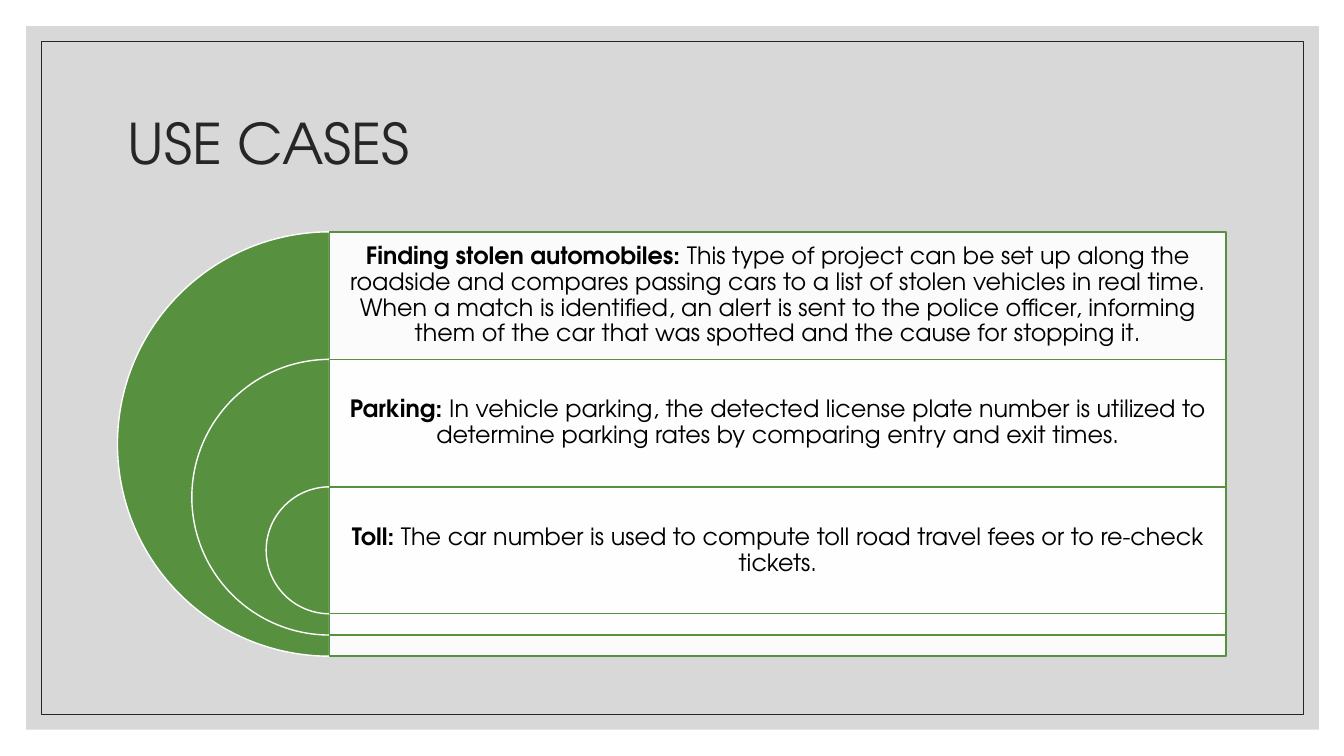
import dataclasses

import pptx
import pptx.dml.color
import pptx.enum.shapes
import pptx.enum.text
import pptx.oxml
import pptx.oxml.ns
import pptx.shapes.autoshape
import pptx.slide
import pptx.text.text
import pptx.util

Inches = pptx.util.Inches
Pt = pptx.util.Pt
RGBColor = pptx.dml.color.RGBColor
Preset = pptx.enum.shapes.MSO_SHAPE
Align = pptx.enum.text.PP_ALIGN

WHITE = RGBColor(0xFF, 0xFF, 0xFF)
BLACK = RGBColor(0x00, 0x00, 0x00)
SILVER = RGBColor(0xBF, 0xBF, 0xBF)
CHARCOAL = RGBColor(0x26, 0x26, 0x26)
GREEN = RGBColor(0x57, 0x90, 0x3F)

FONT = "TeX Gyre Adventor"
AXIS = 3.27
PANEL_WIDTH = 8.89
FIRST_TOP = 2.3
ROW_HEIGHT = 1.265
OUTER_DIAMETER = 4.21
DIAMETER_STEP = 1.475


@dataclasses.dataclass(frozen=True)
class Region:
    left: float
    top: float
    width: float
    height: float

    def lengths(self) -> list[int]:
        return [Inches(value) for value in dataclasses.astuple(self)]


@dataclasses.dataclass(frozen=True)
class Paint:
    fill: RGBColor | None = None
    opacity: int = 100
    line: RGBColor | None = None
    line_width: float = 1


@dataclasses.dataclass(frozen=True)
class Span:
    text: str
    size: float
    color: RGBColor
    bold: bool = False


@dataclasses.dataclass(frozen=True)
class UseCase:
    heading: str
    detail: str


BACKDROP = Paint(fill=SILVER, opacity=60)
FRAME = Paint(line=CHARCOAL, line_width=0.5)
HALF_DISC = Paint(fill=GREEN, line=WHITE)
PANEL = Paint(fill=WHITE, opacity=90, line=GREEN)

USE_CASES = [
    UseCase(
        "Finding stolen automobiles: ",
        "This type of project can be set up along the roadside and compares "
        "passing cars to a list of stolen vehicles in real time. When a match "
        "is identified, an alert is sent to the police officer, informing them "
        "of the car that was spotted and the cause for stopping it.",
    ),
    UseCase(
        "Parking: ",
        "In vehicle parking, the detected license plate number is utilized to "
        "determine parking rates by comparing entry and exit times.",
    ),
    UseCase(
        "Toll:",
        " The car number is used to compute toll road travel fees or to "
        "re-check tickets.",
    ),
]


def set_formats(target: object, formats: dict[str, object]) -> None:
    for name, value in formats.items():
        setattr(target, name, value)


def set_opacity(shape: pptx.shapes.autoshape.Shape, percent: int) -> None:
    color = shape.fill._xPr.find(".//" + pptx.oxml.ns.qn("a:srgbClr"))
    alpha = pptx.oxml.parse_xml(
        f'<a:alpha {pptx.oxml.ns.nsdecls("a")} val="{percent * 1000}"/>'
    )
    color.append(alpha)


def add_painted_shape(
    page: pptx.slide.Slide, preset: Preset, region: Region, paint: Paint
) -> pptx.shapes.autoshape.Shape:
    shape = page.shapes.add_shape(preset, *region.lengths())
    shape.shadow.inherit = False
    if paint.fill is None:
        shape.fill.background()
    else:
        shape.fill.solid()
        shape.fill.fore_color.rgb = paint.fill
        if paint.opacity < 100:
            set_opacity(shape, paint.opacity)
    if paint.line is None:
        shape.line.fill.background()
    else:
        shape.line.color.rgb = paint.line
        shape.line.width = Pt(paint.line_width)
    return shape


def add_text(
    page: pptx.slide.Slide,
    region: Region,
    spans: list[Span],
    align: Align,
    inset: tuple[float, float],
    space_after: float = 0,
) -> None:
    """Add one middle-anchored paragraph; inset is horizontal, then vertical."""
    frame = page.shapes.add_textbox(*region.lengths()).text_frame
    across, down = (Inches(value) for value in inset)
    set_formats(frame, {
        "word_wrap": True,
        "vertical_anchor": pptx.enum.text.MSO_ANCHOR.MIDDLE,
        "margin_left": across,
        "margin_right": across,
        "margin_top": down,
        "margin_bottom": down,
    })
    para = frame.paragraphs[0]
    set_formats(para, {
        "alignment": align,
        "line_spacing": 0.9,
        "space_after": Pt(space_after),
    })
    for span in spans:
        run = para.add_run()
        run.text = span.text
        set_formats(run.font, {
            "name": FONT, "size": Pt(span.size), "bold": span.bold,
        })
        run.font.color.rgb = span.color


def add_use_case(page: pptx.slide.Slide, index: int, case: UseCase) -> None:
    top = FIRST_TOP + index * ROW_HEIGHT
    diameter = OUTER_DIAMETER - index * DIAMETER_STEP
    disc = Region(AXIS - diameter / 2, top, diameter, diameter)
    half = add_painted_shape(page, Preset.PIE, disc, HALF_DISC)
    # Angles in units of 100000/60000 degree: from 90 to 270 degrees.
    half.adjustments[0], half.adjustments[1] = 54, 162

    panel = Region(AXIS, top, PANEL_WIDTH, diameter)
    add_painted_shape(page, Preset.RECTANGLE, panel, PANEL)

    spans = [
        Span(case.heading, 17, BLACK, bold=True),
        Span(case.detail, 17, BLACK),
    ]
    row = Region(AXIS, top, PANEL_WIDTH, ROW_HEIGHT)
    add_text(page, row, spans, Align.CENTER, (0.07, 0.07), space_after=6)


def main() -> None:
    deck = pptx.Presentation()
    deck.slide_width, deck.slide_height = Inches(13.33), Inches(7.5)
    page = deck.slides.add_slide(deck.slide_layouts[6])

    backdrop = Region(0.26, 0.26, 12.82, 6.98)
    add_painted_shape(page, Preset.RECTANGLE, backdrop, BACKDROP)
    border = Region(0.41, 0.41, 12.52, 6.68)
    add_painted_shape(page, Preset.RECTANGLE, border, FRAME)

    title = [Span("USE CASES", 40, CHARCOAL)]
    add_text(page, Region(1.17, 0.7, 11, 1.5), title, Align.LEFT, (0.1, 0.05))
    for index, case in enumerate(USE_CASES):
        add_use_case(page, index, case)

    deck.save("out.pptx")


if __name__ == "__main__":
    main()
